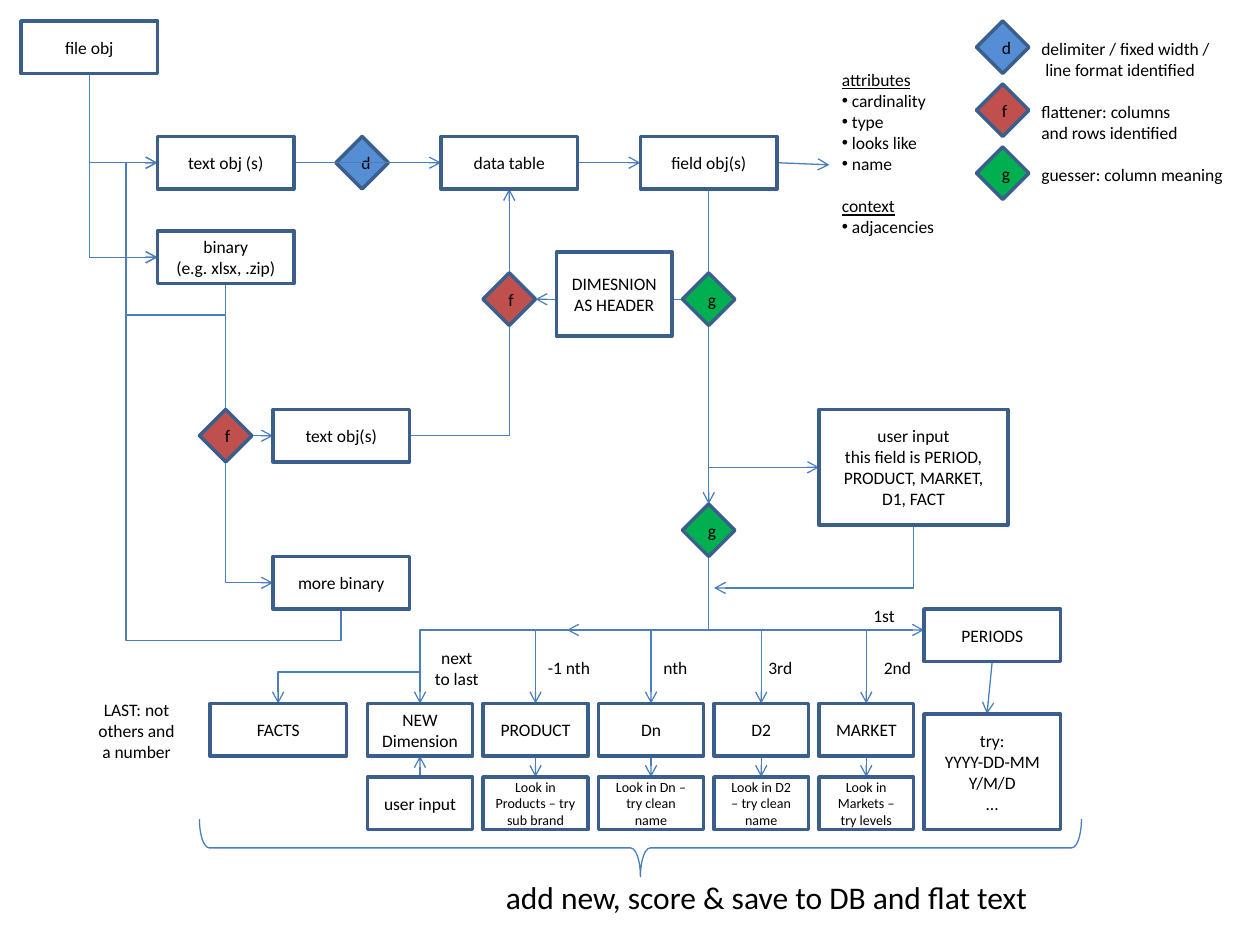
from lxml.etree import SubElement
from pptx import Presentation
from pptx.dml.color import RGBColor
from pptx.enum.shapes import MSO_CONNECTOR, MSO_SHAPE
from pptx.enum.text import MSO_ANCHOR, MSO_AUTO_SIZE, PP_ALIGN
from pptx.oxml.ns import qn
from pptx.util import Inches, Pt

COLUMNS, ROWS = 120, 90
SLIDE_WIDTH, SLIDE_HEIGHT = Inches(10), Inches(7.5)
FONT, INK, WHITE = "Calibri", "000000", "FFFFFF"
OUTLINE, WIRE = "3A5F8C", "4B7EBC"
DECISION_FILLS = {"d": "558ED5", "f": "C0504D", "g": "00B050"}
DECISION_SIZE = 5

BOXES = [
    ("file obj", 2, 2, 13, 5),
    ("text obj (s)", 15, 13, 13, 5),
    ("binary\n(e.g. xlsx, .zip)", 15, 22, 13, 5),
    ("text obj(s)", 26, 39, 13, 5),
    ("more binary", 26, 53, 13, 5),
    ("data table", 42, 13, 13, 5),
    ("field obj(s)", 61, 13, 13, 5),
    ("DIMESNION AS HEADER", 53, 24, 11, 8),
    ("user input\nthis field is PERIOD, PRODUCT, MARKET, D1, FACT", 78, 39, 18, 11),
    ("PERIODS", 88, 58, 13, 5),
    ("FACTS", 20, 67, 13, 5),
    ("try:\nYYYY-DD-MM\nY/M/D\n...", 88, 68, 13, 11),
]

FIELD_TOP, LOOKUP_TOP, FIELD_HEIGHT = 67, 74, 5
FIELDS = [
    ("NEW\nDimension", "user input", 35, 10, 10),
    ("PRODUCT", "Look in Products – try sub brand", 46, 10, 8),
    ("Dn", "Look in Dn – try clean name", 57, 10, 8),
    ("D2", "Look in D2 – try clean name", 68, 9, 8),
    ("MARKET", "Look in Markets – try levels", 78, 9, 8),
]

DECISIONS = {
    "d": [(32, 13), (93, 2)],
    "f": [(19, 39), (46, 26), (93, 8)],
    "g": [(65, 26), (65, 48), (93, 14)],
}

FORK, FORK_ROW = (67.5, 53), 60
ROUTES = [
    [(8.5, 7), (8.5, 15.5), (15, 15.5)],
    [(8.5, 7), (8.5, 24.5), (15, 24.5)],
    [(21.5, 27), (21.5, 30), (12, 30), (12, 15.5), (15, 15.5)],
    [(21.5, 27), (21.5, 55.5), (26, 55.5)],
    [(32.5, 58), (32.5, 61), (12, 61), (12, 24.5), (15, 24.5)],
    [(24, 41.5), (26, 41.5)],
    [(28, 15.5), (42, 15.5)],
    [(39, 41.5), (48.5, 41.5), (48.5, 18)],
    [(55, 15.5), (61, 15.5)],
    [(74, 15.5), (79, 15.7)],
    [(67.5, 18), (67.5, 44.5), (78, 44.5)],
    [(67.5, 18), (67.5, 48)],
    [(65, 28.5), (51, 28.5)],
    [(87, 50), (87, 56), (68, 56)],
    [FORK, (67.5, FORK_ROW), (54, FORK_ROW)],
    [FORK, (67.5, FORK_ROW), (88, FORK_ROW)],
    [(40, 64), (26.5, 64), (26.5, 67)],
    [(94.5, 63), (94, 68)],
]

LABELS = [
    ("delimiter / fixed width /\n line format identified", 98, 3, 18.7, 5.3, False, False, 10),
    ("flattener: columns and rows identified", 98, 9, 17, 5.3, True, False, 10),
    ("guesser: column meaning", 98, 15, 20, 3.2, False, False, 10),
    ("1st", 82, 57, 4.6, 3.2, False, False, 10),
    ("2nd", 83, 62, 5, 3.2, False, False, 10),
    ("3rd", 72, 62, 4.8, 3.2, False, False, 10),
    ("nth", 62, 62, 4.8, 3.2, False, False, 10),
    ("-1 nth", 51, 62, 6.5, 3.2, False, False, 10),
    ("next to last", 40, 61, 7, 5.3, True, True, 10),
    ("LAST: not others and a number", 8, 66, 10, 7.3, True, True, 10),
    ("add new, score & save to DB and flat text", 47, 83, 52.7, 4.8, False, False, 18),
]

ATTRIBUTES_AREA = (79, 6, 11.3, 19.4)
ATTRIBUTES = [
    ("attributes", ["cardinality", "type", "looks like", "name"]),
    ("context", ["adjacencies"]),
]
BRACE_AREA = (19, 78, 84, 5.5)

presentation = Presentation()
presentation.slide_width, presentation.slide_height = SLIDE_WIDTH, SLIDE_HEIGHT
slide = presentation.slides.add_slide(presentation.slide_layouts[6])


def across(columns):
    return round(SLIDE_WIDTH * columns / COLUMNS)


def down(rows):
    return round(SLIDE_HEIGHT * rows / ROWS)


def place(left, top, width, height):
    return across(left), down(top), across(width), down(height)


def color(hex_value):
    return RGBColor.from_string(hex_value)


def add_run(paragraph, text, size=10, underline=None):
    run = paragraph.add_run()
    run.text = text
    run.font.name, run.font.size, run.font.underline = FONT, Pt(size), underline
    run.font.color.rgb = color(INK)


def write_lines(frame, text, size, alignment):
    for index, line in enumerate(text.split("\n")):
        paragraph = frame.add_paragraph() if index else frame.paragraphs[0]
        paragraph.alignment = alignment
        add_run(paragraph, line, size)


def add_node(kind, text, area, fill=WHITE, size=10):
    shape = slide.shapes.add_shape(kind, *place(*area))
    shape.shadow.inherit = False
    shape.fill.solid()
    shape.fill.fore_color.rgb = color(fill)
    shape.line.color.rgb, shape.line.width = color(OUTLINE), Pt(2)
    shape.text_frame.vertical_anchor = MSO_ANCHOR.MIDDLE
    write_lines(shape.text_frame, text, size, PP_ALIGN.CENTER)


def add_decisions(letter):
    for left, top in DECISIONS[letter]:
        area = (left, top, DECISION_SIZE, DECISION_SIZE)
        add_node(MSO_SHAPE.DIAMOND, letter, area, DECISION_FILLS[letter])


def add_text_area(area, wrap):
    frame = slide.shapes.add_textbox(*place(*area)).text_frame
    frame.word_wrap = wrap
    frame.auto_size = MSO_AUTO_SIZE.SHAPE_TO_FIT_TEXT
    return frame


def add_route(points):
    (start_x, start_y), (end_x, end_y) = points[0], points[-1]
    bent = len(points) > 2
    turned = bent and points[1][0] == start_x
    middle_x, middle_y = (start_x + end_x) / 2, (start_y + end_y) / 2
    run, rise = end_x - start_x, end_y - start_y
    if turned:
        run, rise = rise, -run
    connector = slide.shapes.add_connector(
        MSO_CONNECTOR.ELBOW if bent else MSO_CONNECTOR.STRAIGHT,
        across(middle_x - run / 2), down(middle_y - rise / 2),
        across(middle_x + run / 2), down(middle_y + rise / 2))
    connector.line.color.rgb, connector.line.width = color(WIRE), Pt(0.75)
    properties = connector._element.spPr
    SubElement(properties, qn("a:effectLst"))
    SubElement(connector.line._get_or_add_ln(), qn("a:tailEnd"), type="arrow")
    if turned:
        properties.find(qn("a:xfrm")).set("rot", "5400000")
    if bent:
        geometry = properties.find(qn("a:prstGeom"))
        geometry.set("prst", f"bentConnector{len(points) - 1}")
        guides = geometry.find(qn("a:avLst"))
        for number, (x, y) in enumerate(points[1:-2], 1):
            along, aside = x - start_x, y - start_y
            if turned:
                along, aside = aside, -along
            if number == 2:
                share = aside / rise
            else:
                share = along / run
            SubElement(guides, qn("a:gd"), name=f"adj{number}",
                       fmla=f"val {round(share * 100000)}")


def add_attributes():
    frame = add_text_area(ATTRIBUTES_AREA, False)
    for index, (heading, items) in enumerate(ATTRIBUTES):
        paragraph = frame.add_paragraph() if index else frame.paragraphs[0]
        paragraph.space_before = Pt(12 * index)
        add_run(paragraph, heading, underline=True)
        for item in items:
            paragraph = frame.add_paragraph()
            properties = paragraph._p.get_or_add_pPr()
            properties.set("marL", str(Inches(0.08)))
            properties.set("indent", str(-Inches(0.08)))
            SubElement(properties, qn("a:buFont"), typeface="Arial")
            SubElement(properties, qn("a:buChar"), char="•")
            add_run(paragraph, item)


def add_brace():
    left, top, width, height = place(*BRACE_AREA)
    shift = (width - height) // 2
    brace = slide.shapes.add_shape(
        MSO_SHAPE.LEFT_BRACE, left + shift, top - shift, height, width)
    brace.rotation = 270
    brace.adjustments[0], brace.adjustments[1] = 0.17, 0.5
    brace.shadow.inherit = False
    brace.fill.background()
    brace.line.color.rgb, brace.line.width = color(WIRE), Pt(0.75)


add_decisions("d")
for route in ROUTES:
    add_route(route)
for field, lookup, left, width, size in FIELDS:
    center = left + width / 2
    link = [(center, FIELD_TOP + FIELD_HEIGHT), (center, LOOKUP_TOP)]
    add_route(link[::-1] if lookup == "user input" else link)
    add_route([FORK, (FORK[0], FORK_ROW), (center, FORK_ROW), (center, FIELD_TOP)])
    add_node(MSO_SHAPE.RECTANGLE, field, (left, FIELD_TOP, width, FIELD_HEIGHT))
    add_node(MSO_SHAPE.RECTANGLE, lookup, (left, LOOKUP_TOP, width, FIELD_HEIGHT), size=size)
for text, *area in BOXES:
    add_node(MSO_SHAPE.RECTANGLE, text, area)
for letter in "fg":
    add_decisions(letter)
for text, left, top, width, height, wrap, centered, size in LABELS:
    frame = add_text_area((left, top, width, height), wrap)
    write_lines(frame, text, size, PP_ALIGN.CENTER if centered else PP_ALIGN.LEFT)
add_attributes()
add_brace()
presentation.save("out.pptx")
